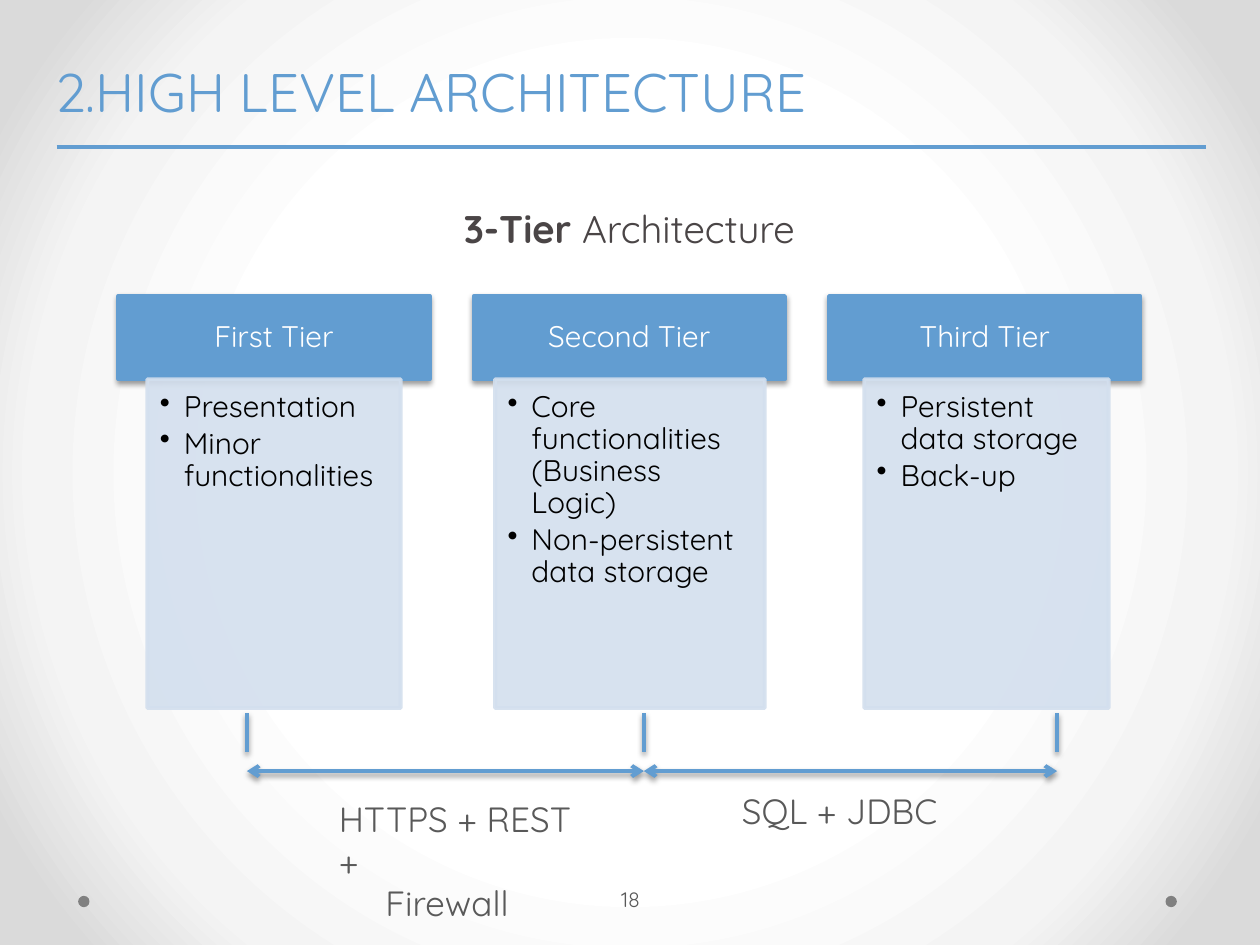
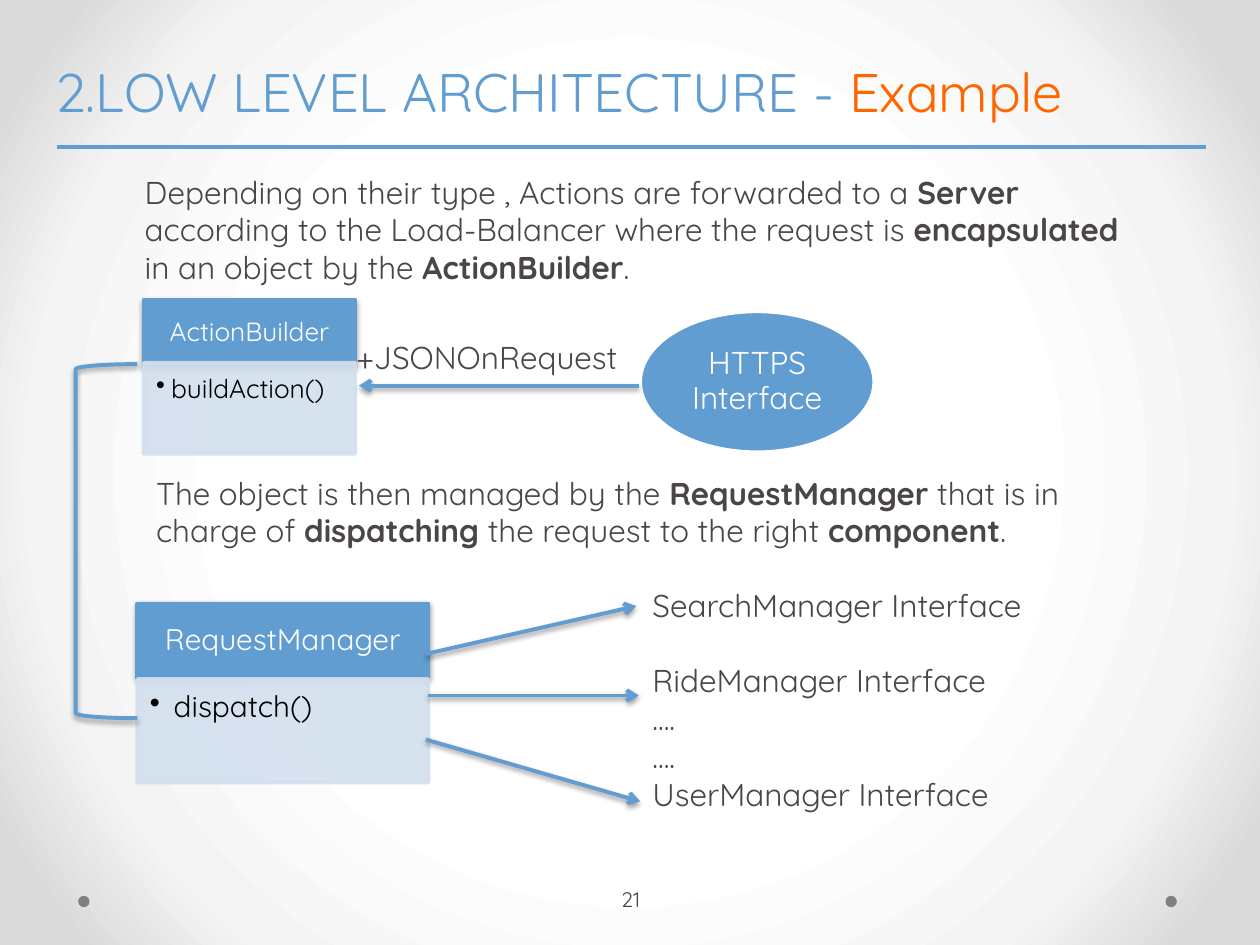
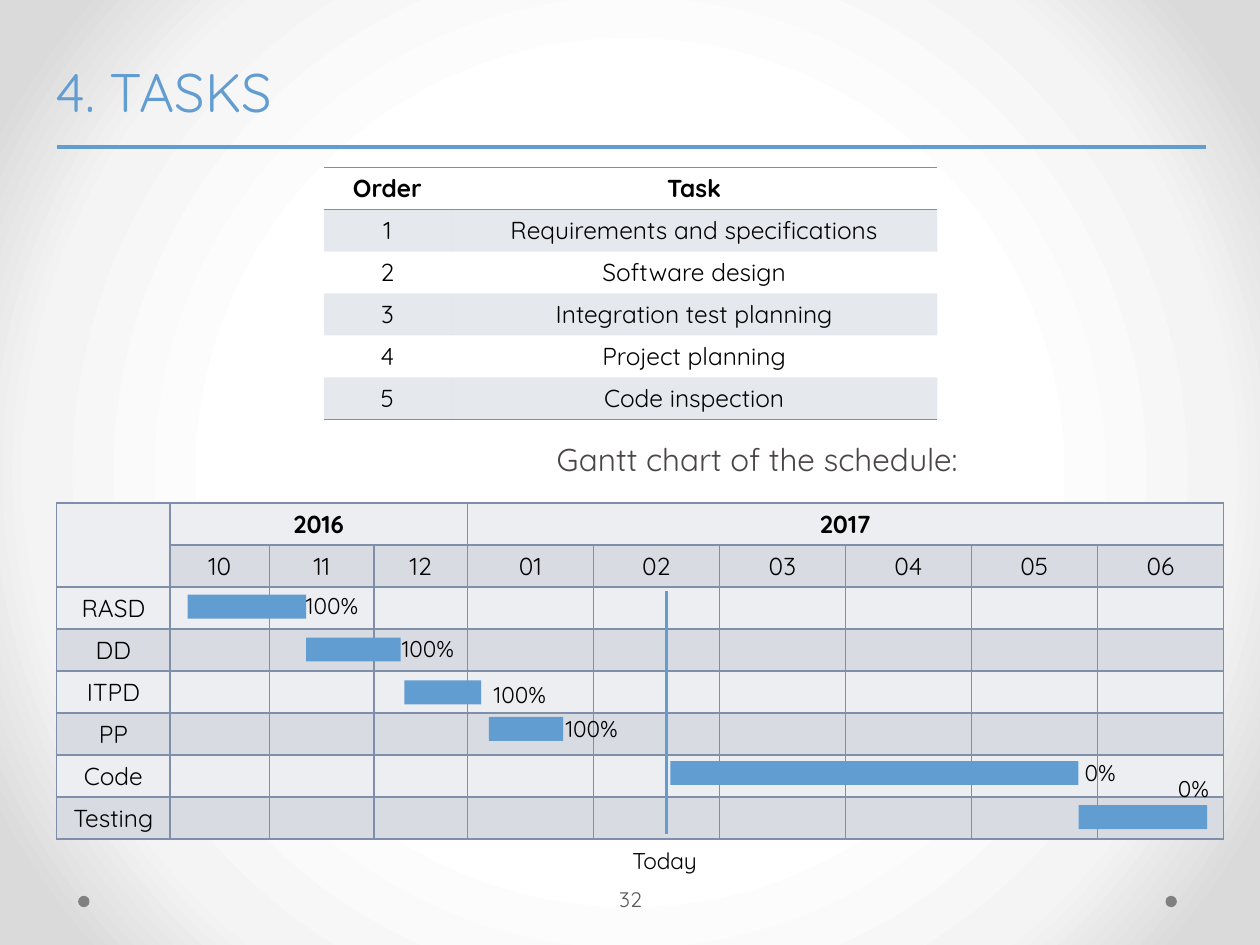
from dataclasses import dataclass
from typing import Any, NamedTuple, Optional

from lxml import etree
from pptx import Presentation
from pptx import util as u
from pptx.dml.color import RGBColor
from pptx.enum import shapes, text
from pptx.oxml.ns import qn

FONT = "Quicksand"
BLUE, PALE_BLUE, ORANGE = "629DD1", "D3DFEE", "FF6600"
INK, GREY, DOT_GREY = "4A4546", "595959", "808080"
BLACK, WHITE = "000000", "FFFFFF"
TABLE_BLUE, LIGHT_BAND, DARK_BAND = "7F8FA9", "ECEEF1", "D8DBE2"
LINE_WIDTH = u.Pt(2.25)
LEFT, CENTER = text.PP_ALIGN.LEFT, text.PP_ALIGN.CENTER
TOP, MIDDLE = text.MSO_ANCHOR.TOP, text.MSO_ANCHOR.MIDDLE
RECTANGLE, OVAL = shapes.MSO_SHAPE.RECTANGLE, shapes.MSO_SHAPE.OVAL


class Box(NamedTuple):
    left: float
    top: float
    width: float
    height: float

    def inches(self) -> list[u.Length]:
        return [u.Inches(value) for value in self]


class Run(NamedTuple):
    text: str
    bold: bool = False
    color: Optional[str] = None


@dataclass(frozen=True)
class Style:
    size: float
    color: str = INK
    align: Any = LEFT
    anchor: Any = TOP
    insets: tuple[float, float, float, float] = (0.1, 0.05, 0.1, 0.05)
    spacing: Optional[float] = None
    after: float = 0
    bullet_indent: float = 0


@dataclass(frozen=True)
class Card:
    title: str
    header: Box
    body: Box
    points: list[str]
    size: float = 17
    indent: float = 0.19


class Arrow(NamedTuple):
    start: tuple[float, float]
    end: tuple[float, float]


class Bar(NamedTuple):
    left: float
    top: float
    width: float
    label: str
    label_left: float
    label_top: float


# Colour, line and shadow helpers
def child(parent: Any, tag: str, **attributes: Any) -> Any:
    return etree.SubElement(parent, qn(tag), {key: str(value) for key, value in attributes.items()})


def paint(fill: Any, color: str, alpha: int = 100) -> None:
    fill.solid()
    fill.fore_color.rgb = RGBColor.from_string(color)
    if alpha < 100:
        color_element = fill._xPr.find(qn("a:solidFill")).find(qn("a:srgbClr"))
        child(color_element, "a:alpha", val=alpha * 1000)


def set_effects(shape: Any, shadow: bool) -> None:
    effects = child(shape._element.spPr, "a:effectLst")
    if shadow:
        outer = child(effects, "a:outerShdw", blurRad=u.Pt(3.1), dist=u.Pt(1.6),
                      dir=90 * 60000, rotWithShape=0)
        child(child(outer, "a:srgbClr", val=BLACK), "a:alpha", val=38000)


# Text helpers
def marked(source: str) -> list[Run]:
    """Split a line into runs; the parts between ** are bold."""
    return [Run(part, bold=index % 2 == 1)
            for index, part in enumerate(source.split("**")) if part]


def write(frame: Any, paragraphs: list[list[Run]], style: Style) -> None:
    frame.word_wrap = True
    frame.vertical_anchor = style.anchor
    (frame.margin_left, frame.margin_top,
     frame.margin_right, frame.margin_bottom) = map(u.Inches, style.insets)
    for index, runs in enumerate(paragraphs):
        paragraph = frame.add_paragraph() if index else frame.paragraphs[0]
        write_paragraph(paragraph, runs, style)


def write_paragraph(paragraph: Any, runs: list[Run], style: Style) -> None:
    paragraph.alignment = style.align
    if style.spacing:
        paragraph.line_spacing = style.spacing
    if style.after:
        paragraph.space_after = u.Pt(style.after)
    if style.bullet_indent:
        properties = paragraph._p.get_or_add_pPr()
        indent = u.Inches(style.bullet_indent)
        properties.set("marL", str(indent))
        properties.set("indent", str(-indent))
        child(properties, "a:buChar", char="•")
    for part in runs:
        for index, line in enumerate(part.text.split("\n")):
            if index:
                paragraph.add_line_break()
            run = paragraph.add_run()
            run.text = line
            run.font.name = FONT
            run.font.size = u.Pt(style.size)
            run.font.bold = part.bold
            run.font.color.rgb = RGBColor.from_string(part.color or style.color)


def add_text(slide: Any, box: Box, paragraphs: list[list[Run]], style: Style) -> Any:
    frame = slide.shapes.add_textbox(*box.inches()).text_frame
    write(frame, paragraphs, style)
    return frame


# Shape helpers
def add_shape(slide: Any, kind: Any, box: Box, fill: Optional[str] = None,
              line: Optional[str] = None, alpha: int = 100, shadow: bool = False) -> Any:
    shape = slide.shapes.add_shape(kind, *box.inches())
    if fill:
        paint(shape.fill, fill, alpha)
    else:
        shape.fill.background()
    if line:
        paint(shape.line.fill, line, alpha)
        shape.line.width = LINE_WIDTH
    else:
        shape.line.fill.background()
    set_effects(shape, shadow)
    return shape


def add_line(slide: Any, arrow: Arrow, head: bool = False, tail: bool = False,
             shadow: bool = True) -> None:
    ends = [u.Inches(value) for point in arrow for value in point]
    line = slide.shapes.add_connector(shapes.MSO_CONNECTOR.STRAIGHT, *ends)
    paint(line.line.fill, BLUE)
    line.line.width = LINE_WIDTH
    outline = line.line._get_or_add_ln()
    if head:
        child(outline, "a:headEnd", type="arrow")
    if tail:
        child(outline, "a:tailEnd", type="arrow")
    set_effects(line, shadow)


def add_card(slide: Any, card: Card) -> None:
    header = add_shape(slide, RECTANGLE, card.header, BLUE, BLUE, shadow=True)
    write(header.text_frame, [[Run(card.title)]],
          Style(card.size, WHITE, CENTER, MIDDLE, (0.13, 0.08, 0.13, 0.08), 0.9))
    body = add_shape(slide, RECTANGLE, card.body, PALE_BLUE, PALE_BLUE, alpha=90)
    write(body.text_frame, [[Run(point)] for point in card.points],
          Style(card.size, BLACK, insets=(0.1, 0.1, 0.13, 0.15), spacing=0.9,
                after=round(0.15 * card.size, 1), bullet_indent=card.indent))


# Table helpers
def add_table(slide: Any, box: Box, columns: list[float], row_count: int) -> Any:
    table = slide.shapes.add_table(row_count, len(columns), *box.inches()).table
    table.first_row = table.horz_banding = False
    for column, width in zip(table.columns, columns):
        column.width = u.Inches(width)
    for row in table.rows:
        row.height = u.Inches(box.height / row_count)
    return table


def fill_cell(cell: Any, content: str, bold: bool, borders: str,
              fill: Optional[str], alpha: int = 100) -> None:
    cell.margin_top = cell.margin_bottom = 0
    cell.vertical_anchor = MIDDLE
    if content:
        write_paragraph(cell.text_frame.paragraphs[0], [Run(content, bold)],
                        Style(14, BLACK, CENTER))
    properties = cell._tc.get_or_add_tcPr()
    for side in "LRTB":
        border = child(properties, f"a:ln{side}", w=u.Pt(1))
        if side in borders:
            child(child(border, "a:solidFill"), "a:srgbClr", val=TABLE_BLUE)
        else:
            child(border, "a:noFill")
    if fill:
        paint(cell.fill, fill, alpha)
    else:
        cell.fill.background()


# Parts that every slide shares
def set_background(master: Any) -> None:
    master.background.fill.solid()
    properties = master._element.cSld.find(qn("p:bg")).find(qn("p:bgPr"))
    properties.remove(properties.find(qn("a:solidFill")))
    gradient = etree.Element(qn("a:gradFill"), rotWithShape="1")
    stops = child(gradient, "a:gsLst")
    for position, color in ((50, WHITE), (76, "F4F4F4"), (92, "DADADA")):
        child(child(stops, "a:gs", pos=position * 1000), "a:srgbClr", val=color)
    shade = child(gradient, "a:path", path="circle")
    child(shade, "a:fillToRect", l=50000, t=50000, r=50000, b=50000)
    properties.insert(0, gradient)


def new_slide(presentation: Any, title: list[Run], number: str, number_color: str = GREY) -> Any:
    slide = presentation.slides.add_slide(presentation.slide_layouts[6])
    for left in (9.25, 0.62):
        add_shape(slide, OVAL, Box(left, 7.11, 0.09, 0.09), DOT_GREY)
    add_line(slide, Arrow((0.45, 1.17), (9.57, 1.17)), shadow=False)
    add_text(slide, Box(0.34, 0.41, 9.2, 0.62), [title], Style(31, BLUE))
    add_text(slide, Box(4.71, 6.94, 0.61, 0.4), [[Run(number)]],
             Style(12, number_color, CENTER, MIDDLE, (0.03, 0.05, 0.05, 0.05)))
    return slide


# Slide: three tiers
def build_high_level(presentation: Any) -> None:
    slide = new_slide(presentation, [Run("2.HIGH LEVEL ARCHITECTURE")], "18")
    add_text(slide, Box(0.45, 1.58, 9.09, 0.47), [marked("**3-Tier **Architecture")],
             Style(22, align=CENTER))
    tiers = [
        ("First Tier", 1.17, 2.01, ["Presentation", "Minor functionalities"]),
        ("Second Tier", 3.93, 2.14, ["Core functionalities\n(Business Logic)",
                                     "Non-persistent data storage"]),
        ("Third Tier", 6.86, 1.94, ["Persistent data storage", "Back-up"]),
    ]
    for index, (title, left, width, points) in enumerate(tiers):
        add_card(slide, Card(title, Box(0.94 + 2.82 * index, 2.35, 2.47, 0.66),
                             Box(left, 3.01, width, 2.61), points))

    # Protocols between the tiers
    stops = [1.96, 5.11, 8.39]
    for stop in stops:
        add_line(slide, Arrow((stop, 5.66), (stop, 5.97)))
    for start, end in zip(stops, stops[1:]):
        add_line(slide, Arrow((start, 6.12), (end, 6.12)), head=True, tail=True)
    protocol = Style(20, GREY)
    frame = add_text(slide, Box(2.59, 6.28, 2.09, 1.1),
                     [[Run("HTTPS + REST +")], [Run("Firewall")]], protocol)
    frame.paragraphs[1]._p.get_or_add_pPr().set("marL", str(u.Inches(0.37)))
    add_text(slide, Box(5.79, 6.22, 2, 0.43), [[Run("SQL + JDBC")]], protocol)


# Slide: path of a request
def build_low_level(presentation: Any) -> None:
    slide = new_slide(presentation, [Run("2.LOW LEVEL ARCHITECTURE - "),
                                     Run("Example", color=ORANGE)], "21", INK)
    body = Style(18)
    add_text(slide, Box(1.05, 1.32, 8.05, 1.01), [marked(
        "Depending on their type , Actions are forwarded to a **Server** according to the "
        "Load-Balancer where the request is **encapsulated** in an object by the "
        "**ActionBuilder**.")], body)
    add_text(slide, Box(1.14, 3.71, 7.96, 1.01), [marked(
        "The object is then managed by the **RequestManager** that is in charge of "
        "**dispatching** the request to the right **component**.")], body)

    add_card(slide, Card("ActionBuilder", Box(1.14, 2.38, 1.68, 0.52),
                         Box(1.14, 2.88, 1.68, 0.72), ["buildAction()"], 15, 0.12))
    add_card(slide, Card("RequestManager", Box(1.09, 4.79, 2.31, 0.59),
                         Box(1.09, 5.39, 2.31, 0.82), ["dispatch()"]))
    interface = add_shape(slide, OVAL, Box(5.08, 2.47, 1.86, 1.12), BLUE, WHITE)
    write(interface.text_frame, [[Run("HTTPS\nInterface")]],
          Style(18, WHITE, CENTER, MIDDLE, (0.07, 0.07, 0.07, 0.07), 0.9))
    add_text(slide, Box(2.73, 2.63, 2.4, 0.4), [[Run("+JSONOnRequest")]], body)

    for arrow in (Arrow((5.07, 3.06), (2.85, 3.06)), Arrow((3.38, 5.19), (5.05, 4.81)),
                  Arrow((3.38, 5.87), (5.08, 6.36)), Arrow((3.4, 5.52), (5.07, 5.52))):
        add_line(slide, arrow, tail=True)
    add_shape(slide, shapes.MSO_SHAPE.LEFT_BRACKET, Box(0.6, 2.89, 0.49, 2.81),
              line=BLUE, shadow=True)

    managers = ["SearchManager Interface", "RideManager Interface", "....", "....",
                "UserManager Interface"]
    frame = add_text(slide, Box(5.08, 4.6, 3.77, 2.22), [[Run(name)] for name in managers], body)
    frame.paragraphs[1].space_before = u.Pt(21.6)


# Slide: task list and schedule
def add_task_table(slide: Any) -> None:
    rows = [("Order", "Task"), ("1", "Requirements and specifications"),
            ("2", "Software design"), ("3", "Integration test planning"),
            ("4", "Project planning"), ("5", "Code inspection")]
    table = add_table(slide, Box(2.57, 1.33, 4.87, 2), [1.01, 3.86], len(rows))
    borders = {0: "TB", 1: "T", len(rows) - 1: "B"}
    for row, contents in enumerate(rows):
        for column, content in enumerate(contents):
            fill_cell(table.cell(row, column), content, row == 0, borders.get(row, ""),
                      TABLE_BLUE if row % 2 else None, alpha=20)


def add_schedule(slide: Any) -> None:
    months = ["10", "11", "12", "01", "02", "03", "04", "05", "06"]
    phases = ["RASD", "DD", "ITPD", "PP", "Code", "Testing"]
    rows = [["", "2016", "", "", "2017"], ["", *months], *([phase] for phase in phases)]
    columns = [0.9, 0.79, 0.83, 0.74] + [1.0] * 6
    table = add_table(slide, Box(0.45, 3.99, 9.26, 2.67), columns, len(rows))
    for row, contents in enumerate(rows):
        for column in range(len(columns)):
            content = contents[column] if column < len(contents) else ""
            band = DARK_BAND if row % 2 and (row > 1 or column) else LIGHT_BAND
            fill_cell(table.cell(row, column), content, row == 0, "LRTB", band)
    for first, last in (((0, 0), (1, 0)), ((0, 1), (0, 3)), ((0, 4), (0, 9))):
        table.cell(*first).merge(table.cell(*last))

    # Progress bars
    label_style = Style(13, BLACK)
    for bar in (Bar(1.49, 4.72, 0.94, "100%", 2.33, 4.65),
                Bar(2.43, 5.06, 0.75, "100%", 3.09, 4.99),
                Bar(3.21, 5.4, 0.61, "100%", 3.82, 5.35),
                Bar(3.88, 5.69, 0.59, "100%", 4.39, 5.62),
                Bar(5.32, 6.04, 3.24, "0%", 8.51, 5.97),
                Bar(8.56, 6.39, 1.02, "0%", 9.25, 6.1)):
        add_shape(slide, RECTANGLE, Box(bar.left, bar.top, bar.width, 0.19), BLUE)
        add_text(slide, Box(bar.label_left, bar.label_top, 0.65, 0.32),
                 [[Run(bar.label)]], label_style)
    add_line(slide, Arrow((5.29, 4.69), (5.29, 6.62)), shadow=False)
    add_text(slide, Box(4.92, 6.67, 0.8, 0.32), [[Run("Today")]], label_style)


def build_tasks(presentation: Any) -> None:
    slide = new_slide(presentation, [Run("4. TASKS")], "32")
    add_text(slide, Box(4.01, 3.44, 4, 0.4), [[Run("Gantt chart of the schedule:")]],
             Style(18, align=CENTER))
    add_task_table(slide)
    add_schedule(slide)


def main() -> None:
    presentation = Presentation()
    presentation.slide_width = u.Inches(10)
    presentation.slide_height = u.Inches(7.5)
    set_background(presentation.slide_master)
    build_high_level(presentation)
    build_low_level(presentation)
    build_tasks(presentation)
    presentation.save("out.pptx")


if __name__ == "__main__":
    main()
